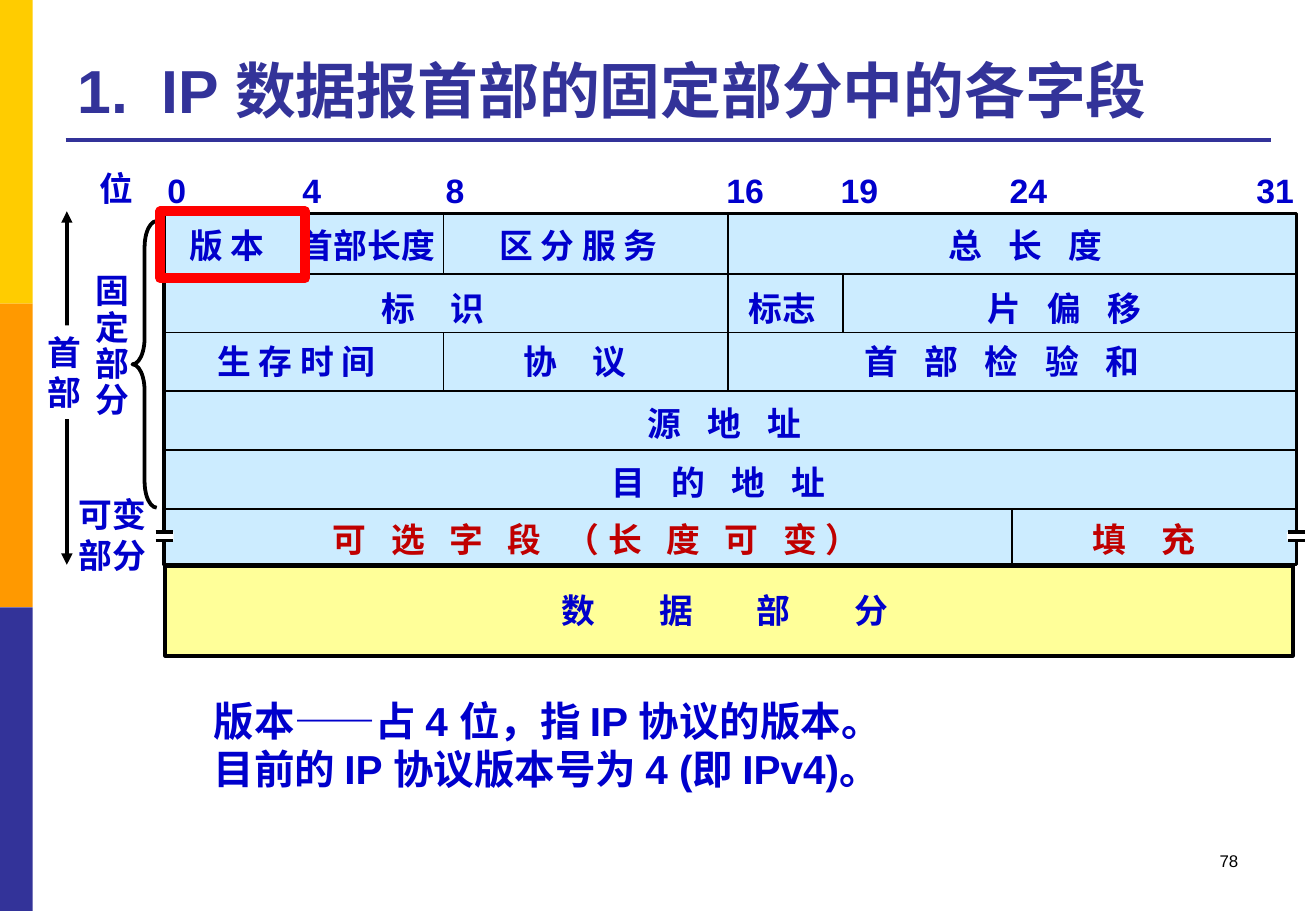
from lxml import etree
from pptx import Presentation
from pptx.dml.color import RGBColor
from pptx.enum.shapes import MSO_CONNECTOR, MSO_SHAPE
from pptx.enum.text import MSO_ANCHOR, MSO_AUTO_SIZE, PP_ALIGN
from pptx.oxml.ns import qn
from pptx.util import Inches, Pt

RECT, BRACE = MSO_SHAPE.RECTANGLE, MSO_SHAPE.LEFT_BRACE
STRAIGHT = MSO_CONNECTOR.STRAIGHT
BOTTOM, TOP = MSO_ANCHOR.BOTTOM, MSO_ANCHOR.TOP
LEFT, RIGHT = PP_ALIGN.LEFT, PP_ALIGN.RIGHT
GROW, FIXED = MSO_AUTO_SIZE.SHAPE_TO_FIT_TEXT, MSO_AUTO_SIZE.NONE

FONT = "Arial"
BLUE, NAVY, RED, BLACK, WHITE = "0000CC", "333399", "C00000", "000000", "FFFFFF"

# Content
TITLE = "1.  IP 数据报首部的固定部分中的各字段"
NOTES = ["版本——占 4 位，指 IP 协议的版本。", "目前的 IP 协议版本号为 4 (即 IPv4)。"]
PAGE = "78"
SIDE_BANDS = ["FFCC00", "FF9900", NAVY]

# Bit numbers: text, left, width
BITS = [("0", 1.28, 0.36), ("4", 2.39, 0.36), ("8", 3.57, 0.36), ("16", 5.88, 0.51),
        ("19", 6.82, 0.51), ("24", 8.21, 0.51), ("31", 10.24, 0.51)]

# Fields of each header row: text, left, width, extra letter spacing in points
FIELD_TOPS = [1.8, 2.32, 2.76, 3.27, 3.75, 4.22]
FIELDS = [
    [("版 本", 1.46, 0.84, 0), ("首部长度", 2.37, 1.32, 0),
     ("区 分 服 务", 4.01, 1.56, 0), ("总 长 度", 7.71, 1.51, 5.5)],
    [("标 识", 3.04, 1.07, 8.3), ("标志", 6.06, 0.76, 0), ("片 偏 移", 8.03, 1.51, 5.5)],
    [("生 存 时 间", 1.69, 1.56, 0), ("协 议", 4.21, 1.07, 8.3),
     ("首 部 检 验 和", 7.02, 2.54, 5.5)],
    [("源 地 址", 5.23, 1.51, 5.5)],
    [("目 的 地 址", 4.93, 2.02, 5.5)],
    [("可 选 字 段 （长 度 可 变）", 2.64, 4.56, 5), ("填 充", 8.89, 1.07, 8.3)],
]

# Column dividers: x, first row, row after the last
DIVIDERS = [(2.49, 0, 1), (3.65, 0, 1), (3.65, 2, 3), (5.99, 0, 3), (6.94, 1, 2), (8.33, 5, 6)]
GRID_TOP, ROW_H = 1.77, 2.42 / 5

prs = Presentation()
prs.slide_width, prs.slide_height = Inches(10.83), Inches(7.5)
s = prs.slides.add_slide(prs.slide_layouts[6])


def rgb(color):
    return RGBColor.from_string(color)


def add_box(x, y, w, h, fill=None, line=None, pt=1, kind=RECT):
    sp = s.shapes.add_shape(kind, Inches(x), Inches(y), Inches(w), Inches(h))
    sp.shadow.inherit = False
    if fill:
        sp.fill.solid()
        sp.fill.fore_color.rgb = rgb(fill)
    else:
        sp.fill.background()
    if line:
        sp.line.color.rgb = rgb(line)
        sp.line.width = Pt(pt)
    else:
        sp.line.fill.background()
    return sp


def add_line(x1, y1, x2, y2, pt=1, color=BLACK, arrows=False):
    cn = s.shapes.add_connector(STRAIGHT, Inches(x1), Inches(y1), Inches(x2), Inches(y2))
    cn.line.color.rgb = rgb(color)
    cn.line.width = Pt(pt)
    if arrows:
        ln = cn.line._get_or_add_ln()
        for end in ("a:headEnd", "a:tailEnd"):
            etree.SubElement(ln, qn(end)).set("type", "triangle")
    etree.SubElement(cn._element.spPr, qn("a:effectLst"))


def add_text(lines, x, y, w, h=0.43, size=20, color=BLUE, bold=True, wrap=False,
             gap=0, leading=None, align=LEFT, anchor=TOP):
    sp = s.shapes.add_textbox(Inches(x), Inches(y), Inches(w), Inches(h))
    tf = sp.text_frame
    tf.text = "\n".join(lines)
    tf.word_wrap = wrap
    tf.auto_size = FIXED if wrap else GROW
    tf.vertical_anchor = anchor
    for p in tf.paragraphs:
        p.alignment = align
        if leading:
            p.line_spacing = leading
        for r in p.runs:
            r.font.name, r.font.size, r.font.bold = FONT, Pt(size), bold
            r.font.color.rgb = rgb(color)
            if gap:
                r._r.get_or_add_rPr().set("spc", str(int(gap * 100)))


# Side bands, title and rule
for i, color in enumerate(SIDE_BANDS):
    add_box(0, 2.5 * i, 0.27, 2.5, color)
add_text([TITLE], 0.54, 0.21, 9.91, 0.87, 36, NAVY, wrap=True, anchor=BOTTOM)
add_line(0.54, 1.15, 10.46, 1.15, 2.25, NAVY)

# Header and data areas
add_box(1.35, 1.76, 9.32, 2.89, "CCECFF", BLACK, 2)
add_box(1.36, 4.66, 9.28, 0.74, "FFFF99", BLACK, 2.25)
add_text(["数 据 部 分"], 4.52, 4.81, 3.45, wrap=True, gap=16.7)

# Grid lines
for row in range(1, 6):
    y = GRID_TOP + row * ROW_H
    add_line(1.34, y, 10.68, y)
for x, first, last in DIVIDERS:
    add_line(x, GRID_TOP + first * ROW_H, x, GRID_TOP + last * ROW_H)

# Bit numbers and field names
add_text(["位"], 0.72, 1.33, 0.48)
for text, x, w in BITS:
    add_text([text], x, 1.35, w)
for row, (top, fields) in enumerate(zip(FIELD_TOPS, FIELDS)):
    for text, x, w, gap in fields:
        add_text([text], x, top, w, color=RED if row == 5 else BLUE, gap=gap)

# Break marks on both edges of the variable row
for x in (1.27, 10.59):
    add_box(x, 4.38, 0.16, 0.07, WHITE)
    for y in (4.38, 4.45):
        add_line(x + 0.01, y, x + 0.15, y, 2)

# Labels on the left: header extent, fixed part, variable part
add_line(0.55, 1.74, 0.55, 4.65, 2.25, arrows=True)
add_box(0.29, 2.68, 0.48, 0.77, WHITE)
add_text(["首", "部"], 0.29, 2.68, 0.48, 0.77)
add_text(["固", "定", "部", "分"], 0.69, 2.21, 0.48, 1.31, leading=0.9)
add_text(["可变", "部分"], 0.55, 4.02, 0.76, 0.77)
brace = add_box(1.09, 1.82, 0.2, 2.36, line=BLACK, pt=2.25, kind=BRACE)
brace.adjustments[0] = 1.08

# Highlighted version field, its explanation and the page number
add_box(1.32, 1.74, 1.19, 0.55, line="FF0000", pt=6)
add_text(NOTES, 1.66, 5.68, 5.81, 0.91, 24, wrap=True)
add_text([PAGE], 7.76, 6.95, 2.53, 0.5, 10, BLACK, bold=False, wrap=True, align=RIGHT)

prs.save("out.pptx")
